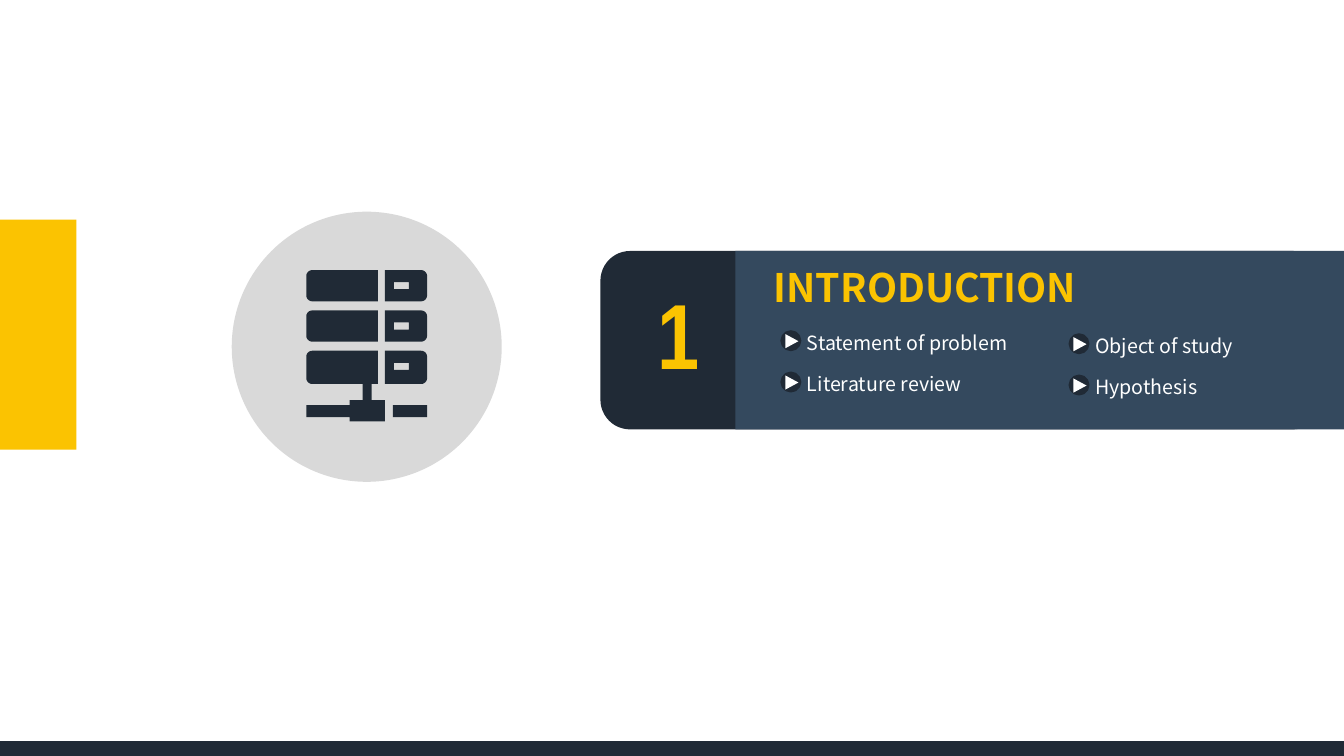
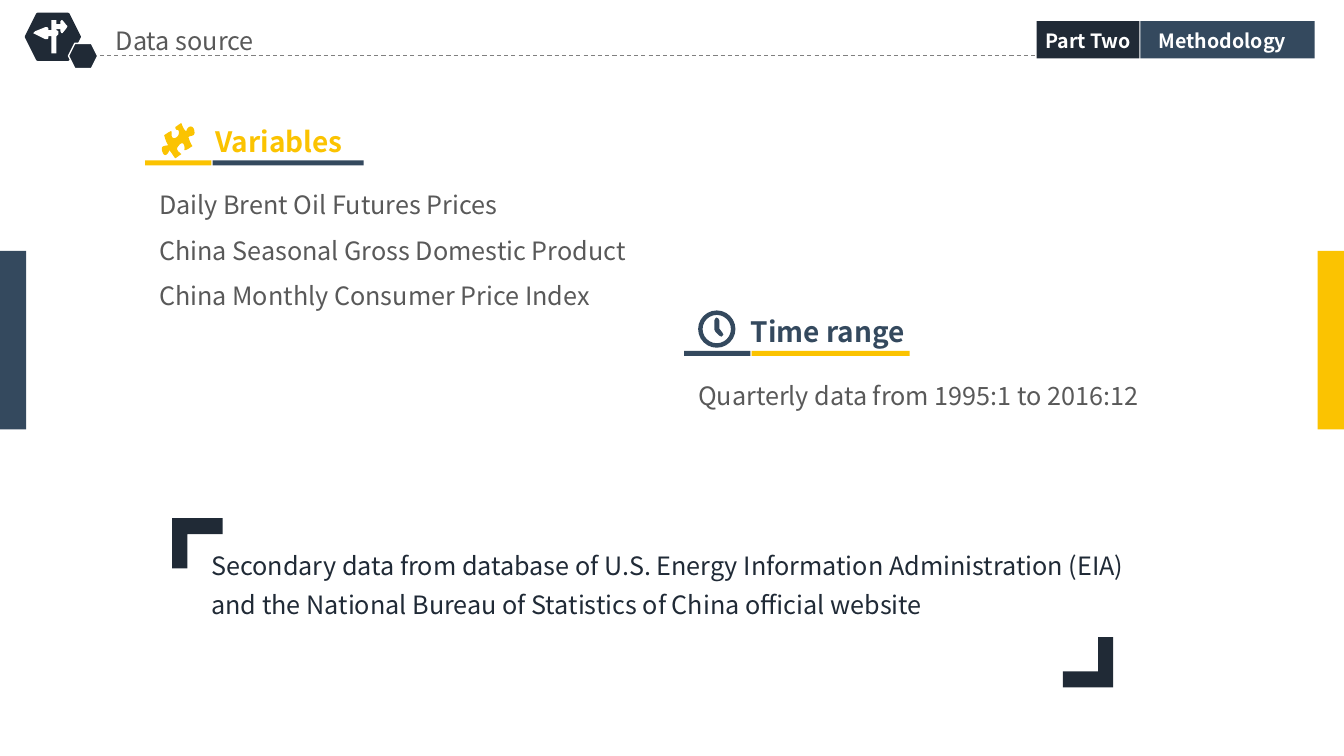
import math

from lxml import etree
from pptx import Presentation
from pptx.dml.color import RGBColor
from pptx.enum.dml import MSO_LINE
from pptx.enum.shapes import MSO_CONNECTOR, MSO_SHAPE
from pptx.enum.text import MSO_AUTO_SIZE, PP_ALIGN
from pptx.oxml.ns import qn
from pptx.util import Inches, Pt

RECTANGLE = MSO_SHAPE.RECTANGLE
ROUNDED = MSO_SHAPE.ROUNDED_RECTANGLE
OVAL = MSO_SHAPE.OVAL
HEXAGON = MSO_SHAPE.HEXAGON
TRIANGLE = MSO_SHAPE.ISOSCELES_TRIANGLE
DONUT = MSO_SHAPE.DONUT
STRAIGHT = MSO_CONNECTOR.STRAIGHT
DASH = MSO_LINE.DASH
LEFT = PP_ALIGN.LEFT
CENTER = PP_ALIGN.CENTER
GROW = MSO_AUTO_SIZE.SHAPE_TO_FIT_TEXT

NAVY = "202A36"
SLATE = "34495E"
YELLOW = "FBC301"
WHITE = "FFFFFF"
SILVER = "D9D9D9"
GRAY = "595959"
RULE_GRAY = "808080"
SANS = "Noto Sans CJK SC"
NARROW = "Arial Narrow"

WIDTH, HEIGHT = 13.34, 7.5
BAND_TOP, BAND_HEIGHT = 2.49, 1.77
TIGHT = (0.07, 0.04)
ROOMY = (0.1, 0.05)
NO_INSET = (0, 0)

SIGNPOST = [
    (0.66, 0.25), (0.62, 0.2), (0.61, 0.2), (0.6, 0.21), (0.6, 0.24),
    (0.56, 0.24), (0.56, 0.2), (0.51, 0.2), (0.51, 0.3), (0.48, 0.3),
    (0.48, 0.28), (0.47, 0.27), (0.45, 0.27), (0.35, 0.31), (0.33, 0.33),
    (0.35, 0.34), (0.45, 0.39), (0.47, 0.39), (0.48, 0.38), (0.48, 0.36),
    (0.51, 0.36), (0.51, 0.53), (0.56, 0.53), (0.56, 0.36), (0.58, 0.34),
    (0.58, 0.31), (0.56, 0.3), (0.56, 0.29), (0.6, 0.29), (0.6, 0.31),
    (0.61, 0.33), (0.62, 0.33), (0.66, 0.28), (0.67, 0.26),
]
PUZZLE_START = (1.8, 1.22)
PUZZLE_CURVES = [
    ((1.81, 1.25), (1.83, 1.3), (1.85, 1.3)),
    ((1.86, 1.25), (1.92, 1.23), (1.93, 1.3)),
    ((1.94, 1.36), (1.89, 1.34), (1.87, 1.36)),
    ((1.88, 1.39), (1.89, 1.42), (1.91, 1.45)),
    ((1.89, 1.46), (1.86, 1.49), (1.83, 1.49)),
    ((1.84, 1.43), (1.81, 1.39), (1.77, 1.45)),
    ((1.73, 1.49), (1.8, 1.52), (1.8, 1.53)),
    ((1.78, 1.54), (1.76, 1.56), (1.74, 1.57)),
    ((1.72, 1.55), (1.71, 1.52), (1.68, 1.49)),
    ((1.67, 1.53), (1.63, 1.57), (1.61, 1.5)),
    ((1.59, 1.44), (1.64, 1.45), (1.67, 1.44)),
    ((1.65, 1.41), (1.64, 1.38), (1.63, 1.34)),
    ((1.65, 1.33), (1.67, 1.31), (1.7, 1.3)),
    ((1.71, 1.32), (1.69, 1.37), (1.73, 1.37)),
    ((1.76, 1.37), (1.79, 1.33), (1.77, 1.29)),
    ((1.76, 1.29), (1.74, 1.29), (1.74, 1.26)),
    ((1.76, 1.25), (1.78, 1.23), (1.8, 1.22)),
]
CLOCK_HAND = [
    (7.16, 3.34), (7.14, 3.33), (7.1, 3.29), (7.09, 3.27), (7.09, 3.18),
    (7.1, 3.16), (7.11, 3.15), (7.13, 3.16), (7.14, 3.18), (7.14, 3.26),
    (7.17, 3.3), (7.18, 3.32), (7.17, 3.33),
]
SERVER_BASE = [
    (3.6, 3.81), (3.69, 3.81), (3.69, 3.97), (3.82, 3.97), (3.82, 4.18),
    (3.47, 4.18), (3.47, 4.14), (3.04, 4.14), (3.04, 4.02), (3.47, 4.02),
    (3.47, 3.97), (3.6, 3.97),
]


def rgb(color):
    return RGBColor.from_string(color)


def paint(shape, fill, line=None, weight=2):
    shape.shadow.inherit = False
    shape.fill.solid()
    shape.fill.fore_color.rgb = rgb(fill)
    if line:
        shape.line.color.rgb = rgb(line)
        shape.line.width = Pt(weight)
    else:
        shape.line.fill.background()


def add_block(page, kind, left, top, width, height, fill, line=None, weight=2):
    shape = page.shapes.add_shape(
        kind, Inches(left), Inches(top), Inches(width), Inches(height))
    paint(shape, fill, line, weight)
    return shape


def add_outline(page, contours, fill):
    scaled = [[(Inches(x), Inches(y)) for x, y in points] for points in contours]
    builder = page.shapes.build_freeform(*scaled[0][0], scale=1.0)
    builder.add_line_segments(scaled[0][1:], close=True)
    for points in scaled[1:]:
        builder.move_to(*points[0])
        builder.add_line_segments(points[1:], close=True)
    paint(builder.convert_to_shape(), fill)


def add_text(page, left, top, width, height, lines, size, color, bold=False,
             font=SANS, align=LEFT, insets=TIGHT, spacing=None, wrap=True):
    box = page.shapes.add_textbox(
        Inches(left), Inches(top), Inches(width), Inches(height))
    frame = box.text_frame
    frame.word_wrap = wrap
    frame.auto_size = GROW
    frame.margin_left = frame.margin_right = Inches(insets[0])
    frame.margin_top = frame.margin_bottom = Inches(insets[1])
    frame.text = "\n".join(lines)
    for para in frame.paragraphs:
        para.alignment = align
        if spacing:
            para.line_spacing = spacing
        para.font.name = font
        para.font.size = Pt(size)
        para.font.bold = bold
        para.font.color.rgb = rgb(color)


def add_dashed_rule(page, left, right, top):
    rule = page.shapes.add_connector(
        STRAIGHT, Inches(left), Inches(top), Inches(right), Inches(top))
    rule.line.color.rgb = rgb(RULE_GRAY)
    rule.line.width = Pt(0.75)
    rule.line.dash_style = DASH
    etree.SubElement(rule._element.spPr, qn("a:effectLst"))


def arc(center_x, center_y, radius, start):
    angles = [math.radians(start + step) for step in range(0, 91, 15)]
    return [(center_x + radius * math.cos(angle),
             center_y + radius * math.sin(angle)) for angle in angles]


def flatten(start, curves, steps=8):
    points = [start]
    for first, second, end in curves:
        origin = points[-1]
        for step in range(1, steps + 1):
            t = step / steps
            weights = ((1 - t) ** 3, 3 * t * (1 - t) ** 2, 3 * t * t * (1 - t), t ** 3)
            anchors = (origin, first, second, end)
            points.append(tuple(
                sum(weight * anchor[axis] for weight, anchor in zip(weights, anchors))
                for axis in (0, 1)))
    return points


def add_server_icon(page):
    radius = 0.06
    contours = [SERVER_BASE, [(3.9, 4.02), (4.24, 4.02), (4.24, 4.14), (3.9, 4.14)]]
    for top, height in ((2.68, 0.31), (3.08, 0.31), (3.48, 0.33)):
        bottom = top + height
        upper, lower = top + radius, bottom - radius
        contours.append([(3.75, top), (3.75, bottom)]
                        + arc(3.1, lower, radius, 90) + arc(3.1, upper, radius, 180))
        contours.append([(3.82, bottom), (3.82, top)]
                        + arc(4.18, upper, radius, 270) + arc(4.18, lower, radius, 0))
        contours.append([(3.91, top + 0.12), (3.91, top + 0.19),
                         (4.06, top + 0.19), (4.06, top + 0.12)])
    add_outline(page, contours, NAVY)


def add_arrow_item(page, left, top, text):
    add_text(page, left + 0.25, top, 2.15, 0.24, [text], 14, WHITE, insets=NO_INSET)
    add_block(page, OVAL, left, top + 0.01, 0.18, 0.18, NAVY, NAVY)
    arrow = add_block(page, TRIANGLE, left + 0.03, top + 0.04, 0.14, 0.13, WHITE)
    arrow.rotation = 90


def add_heading(page, left, top, text, color, accent, text_left, text_width, bar_width):
    add_text(page, text_left, top - 0.4, text_width, 0.41, [text], 20, color,
             bold=True, wrap=False)
    add_block(page, RECTANGLE, left, top, 0.66, 0.05, color)
    add_block(page, RECTANGLE, left + 0.67, top, bar_width, 0.05, accent)


def add_corner(page, x, y, direction):
    steps = [(0, 0), (0.5, 0), (0.5, 0.16), (0.15, 0.16), (0.15, 0.5), (0, 0.5)]
    add_outline(page, [[(x + direction * dx, y + direction * dy)
                        for dx, dy in steps]], NAVY)


def add_header(page, title, part, chapter):
    add_text(page, 1.08, 0.21, 2.05, 0.38, [title], 18, GRAY)
    add_block(page, HEXAGON, 0.26, 0.14, 0.53, 0.45, NAVY, NAVY)
    add_dashed_rule(page, 0.92, 10.29, 0.55)
    add_block(page, HEXAGON, 0.68, 0.43, 0.29, 0.25, NAVY, WHITE, 1)
    add_outline(page, [SIGNPOST], WHITE)
    for left, text_left, width, text, fill in (
            (10.29, 10.29, 1.02, part, NAVY), (11.32, 11.27, 1.73, chapter, SLATE)):
        add_block(page, RECTANGLE, left, 0.21, width, 0.37, fill)
        add_text(page, text_left, 0.25, width, 0.31, [text], 14, WHITE,
                 bold=True, align=CENTER)


def build_introduction(page):
    add_block(page, OVAL, 2.3, 2.1, 2.68, 2.68, SILVER)
    add_block(page, RECTANGLE, 0, 2.18, 0.76, 2.28, YELLOW)
    add_server_icon(page)
    add_block(page, ROUNDED, 5.96, BAND_TOP, 7.17, BAND_HEIGHT, NAVY)
    add_block(page, RECTANGLE, 7.3, BAND_TOP, WIDTH - 7.3, BAND_HEIGHT, SLATE)
    add_text(page, 6.43, 2.7, 0.39, 1.21, ["1"], 66, YELLOW, bold=True,
             font=NARROW, align=CENTER, insets=ROOMY)
    add_text(page, 7.61, 2.57, 3.43, 0.55, ["INTRODUCTION"], 28, YELLOW, bold=True)
    columns = (
        (7.76, 3.28, ("Statement of problem", "Literature review")),
        (10.62, 3.31, ("Object of study", "Hypothesis")),
    )
    for left, top, items in columns:
        for row, text in enumerate(items):
            add_arrow_item(page, left, top + row * 0.41, text)
    add_block(page, RECTANGLE, 0, 7.37, WIDTH, 0.13, NAVY, NAVY)


def build_data_source(page):
    add_header(page, "Data source", "Part Two", "Methodology")
    for left, fill in ((0, SLATE), (WIDTH - 0.26, YELLOW)):
        add_block(page, RECTANGLE, left, BAND_TOP, 0.26, BAND_HEIGHT, fill)

    add_heading(page, 1.44, 1.59, "Variables", YELLOW, SLATE, 2.07, 1.43, 1.5)
    add_outline(page, [flatten(PUZZLE_START, PUZZLE_CURVES)], YELLOW)
    add_text(page, 1.51, 1.69, 4.96, 1.39,
             ["Daily Brent Oil Futures Prices",
              "China Seasonal Gross Domestic Product",
              "China Monthly Consumer Price Index"], 18, GRAY, spacing=1.5)

    add_heading(page, 6.79, 3.48, "Time range", SLATE, YELLOW, 7.38, 1.81, 1.57)
    clock = add_block(page, DONUT, 6.93, 3.08, 0.37, 0.37, SLATE)
    clock.adjustments[0] = 0.12
    add_outline(page, [CLOCK_HAND], SLATE)
    add_text(page, 6.86, 3.58, 4.96, 0.48,
             ["Quarterly data from 1995:1 to 2016:12"], 18, GRAY, spacing=1.5)

    add_corner(page, 1.71, 5.14, 1)
    add_corner(page, 11.05, 6.82, -1)
    add_text(page, 2, 5.32, 9.35, 0.85,
             ["Secondary data from database of U.S. Energy Information "
              "Administration (EIA) and the National Bureau of Statistics "
              "of China official website"], 18, NAVY, insets=ROOMY, spacing=1.3)


def main():
    deck = Presentation()
    deck.slide_width = Inches(WIDTH)
    deck.slide_height = Inches(HEIGHT)
    blank = deck.slide_layouts[6]
    for build in (build_introduction, build_data_source):
        build(deck.slides.add_slide(blank))
    deck.save("out.pptx")


if __name__ == "__main__":
    main()
